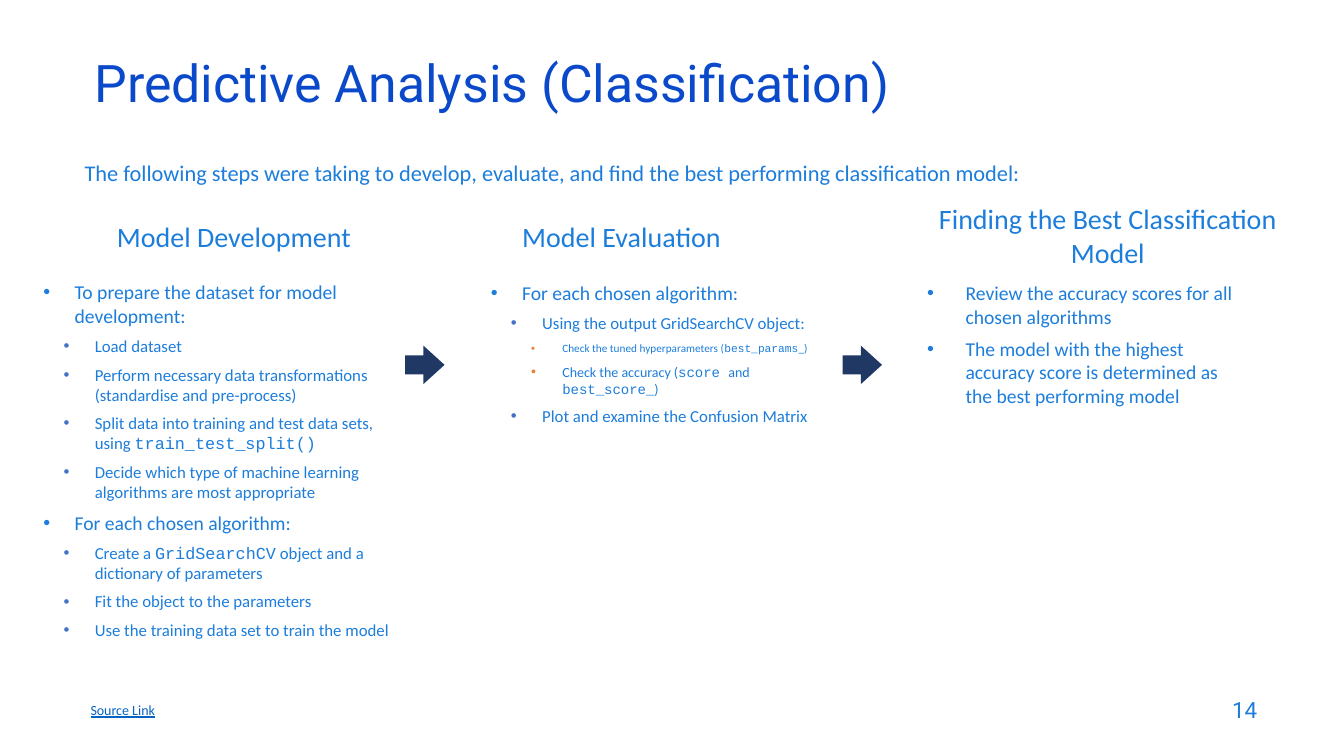
from lxml.etree import SubElement
from pptx import Presentation
from pptx.dml.color import RGBColor
from pptx.enum.shapes import MSO_SHAPE
from pptx.enum.text import MSO_ANCHOR, PP_ALIGN
from pptx.oxml.ns import qn
from pptx.util import Inches, Pt

WIDTH, HEIGHT = Inches(13.33), Inches(7.5)
TITLE_BLUE = RGBColor(0x0B, 0x49, 0xCB)
TEXT_BLUE = RGBColor(0x1C, 0x7D, 0xDB)
LINK_BLUE = RGBColor(0x05, 0x63, 0xC1)
ARROW_NAVY = RGBColor(0x20, 0x38, 0x64)
BULLET_COLOURS = [TEXT_BLUE, RGBColor(0x44, 0x72, 0xC4), RGBColor(0xED, 0x7D, 0x31)]
BODY_FONT, HEAD_FONT, CODE_FONT = "Calibri", "Roboto", "Courier New"

# Left edges of the three steps, in percent of the slide width
STEP_LEFTS = [3.23, 35.78, 68.25]
LIST_BOTTOM = 86.67

# Each item: level, size, text; code stands between backticks
DEVELOPMENT = [
    (0, 14, "To prepare the dataset for model development:"),
    (1, 12, "Load dataset"),
    (1, 12, "Perform necessary data transformations (standardise and pre-process)"),
    (1, 12, "Split data into training and test data sets, using `train_test_split()`"),
    (1, 12, "Decide which type of machine learning algorithms are most appropriate"),
    (0, 14, "For each chosen algorithm:"),
    (1, 12, "Create a `GridSearchCV` object and a dictionary of parameters"),
    (1, 12, "Fit the object to the parameters"),
    (1, 12, "Use the training data set to train the model"),
]
EVALUATION = [
    (0, 14, "For each chosen algorithm:"),
    (1, 12, "Using the output GridSearchCV object:"),
    (2, 8, "Check the tuned hyperparameters (`best_params`_)"),
    (2, 10, "Check the accuracy (`score `and `best_score_`)"),
    (1, 12, "Plot and examine the Confusion Matrix"),
]
SELECTION = [
    (0, 14, "Review the accuracy scores for all chosen algorithms"),
    (0, 14, "The model with the highest accuracy score is determined as "
            "the best performing model"),
]


def place(left, top, width, height):
    """Turn percentages of the slide into lengths."""
    return (int(WIDTH * left / 100), int(HEIGHT * top / 100),
            int(WIDTH * width / 100), int(HEIGHT * height / 100))


def add_frame(slide, area, anchor=MSO_ANCHOR.TOP, inset=True, wrap=True):
    frame = slide.shapes.add_textbox(*place(*area)).text_frame
    frame.word_wrap = wrap
    frame.vertical_anchor = anchor
    if not inset:
        frame.margin_left = frame.margin_right = 0
        frame.margin_top = frame.margin_bottom = 0
    return frame


def style(paragraph, size, colour=TEXT_BLUE, name=BODY_FONT):
    paragraph.font.size = Pt(size)
    paragraph.font.name = name
    paragraph.font.color.rgb = colour


def add_line(slide, area, text, size, colour=TEXT_BLUE, name=BODY_FONT,
             align=PP_ALIGN.LEFT, **frame_options):
    paragraph = add_frame(slide, area, **frame_options).paragraphs[0]
    paragraph.add_run().text = text
    paragraph.alignment = align
    style(paragraph, size, colour, name)
    return paragraph


def add_bullet(paragraph, level, hang):
    paragraph.level = level
    properties = paragraph._p.get_or_add_pPr()
    properties.set("marL", str(Inches(hang + 0.2 * level)))
    properties.set("indent", str(-Inches(hang)))
    colour = SubElement(properties, qn("a:buClr"))
    SubElement(colour, qn("a:srgbClr"), val=str(BULLET_COLOURS[level]))
    SubElement(properties, qn("a:buFont"), typeface="Arial")
    SubElement(properties, qn("a:buChar"), char="•")


def add_list(slide, area, items, hang=0.31, inset=True):
    frame = add_frame(slide, area, inset=inset)
    for index, (level, size, text) in enumerate(items):
        paragraph = frame.add_paragraph() if index else frame.paragraphs[0]
        add_bullet(paragraph, level, hang)
        paragraph.space_after = Pt(6)
        style(paragraph, size)
        for part, piece in enumerate(text.split("`")):
            if piece:
                run = paragraph.add_run()
                run.text = piece
                if part % 2:
                    run.font.name = CODE_FONT


def add_arrow(slide, left):
    arrow = slide.shapes.add_shape(MSO_SHAPE.RIGHT_ARROW, *place(left, 45.73, 2.93, 5.07))
    arrow.adjustments[0], arrow.adjustments[1] = 0.5, 0.55
    arrow.shadow.inherit = False
    arrow.fill.solid()
    arrow.fill.fore_color.rgb = ARROW_NAVY
    arrow.line.fill.background()


def main():
    presentation = Presentation()
    presentation.slide_width, presentation.slide_height = WIDTH, HEIGHT
    slide = presentation.slides.add_slide(presentation.slide_layouts[6])

    add_line(slide, (71.78, 90.93, 22.5, 5.87), "14", 16, name=HEAD_FONT,
             align=PP_ALIGN.RIGHT, anchor=MSO_ANCHOR.MIDDLE)
    title = add_line(slide, (6.3, 7.87, 86.25, 8), "Predictive Analysis (Classification)",
                     37, TITLE_BLUE, HEAD_FONT, anchor=MSO_ANCHOR.MIDDLE)
    title.line_spacing = 0.7
    add_line(slide, (6.3, 21.07, 90.53, 10.13),
             "The following steps were taking to develop, evaluate, and find "
             "the best performing classification model:", 16, inset=False)
    link = add_line(slide, (6, 92.13, 6.45, 3.6), "Source Link", 10, LINK_BLUE, wrap=False)
    link.font.underline = True

    headings = [
        ("Model Development", 26.13, 28.35, 10.27, MSO_ANCHOR.MIDDLE),
        ("Model Evaluation", 26.67, 20.93, 9.2, MSO_ANCHOR.MIDDLE),
        ("Finding the Best Classification Model", 26, 28.35, 10.53, MSO_ANCHOR.TOP),
    ]
    for left, (text, top, width, height, anchor) in zip(STEP_LEFTS, headings):
        heading = add_line(slide, (left, top, width, height), text, 20,
                           align=PP_ALIGN.CENTER, anchor=anchor)
        heading.space_after = Pt(6)

    lists = [
        (DEVELOPMENT, 37.07, 27.23, 0.31, False),
        (EVALUATION, 36.53, 26.55, 0.31, True),
        (SELECTION, 36.53, 25.35, 0.38, True),
    ]
    for left, (items, top, width, hang, inset) in zip(STEP_LEFTS, lists):
        add_list(slide, (left, top, width, LIST_BOTTOM - top), items, hang, inset)

    for left in (30.15, 62.7):
        add_arrow(slide, left)

    presentation.save("out.pptx")


if __name__ == "__main__":
    main()
